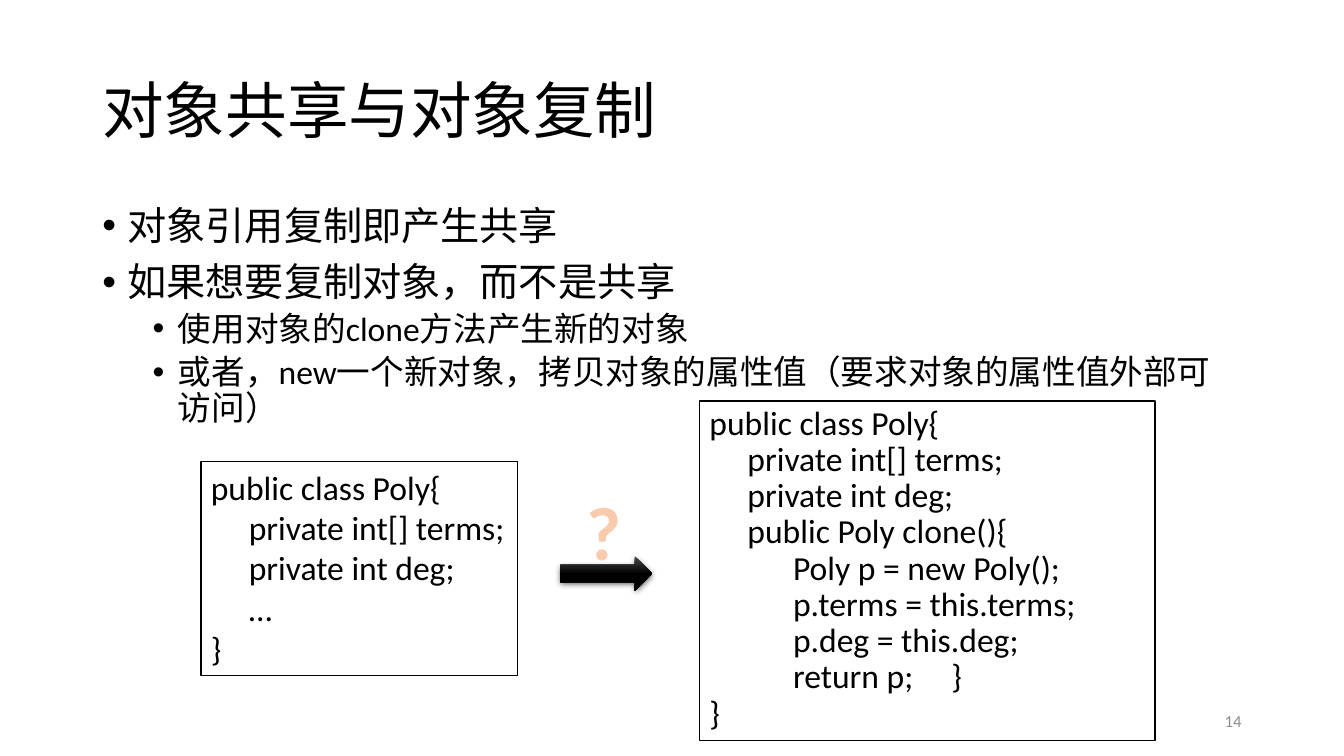
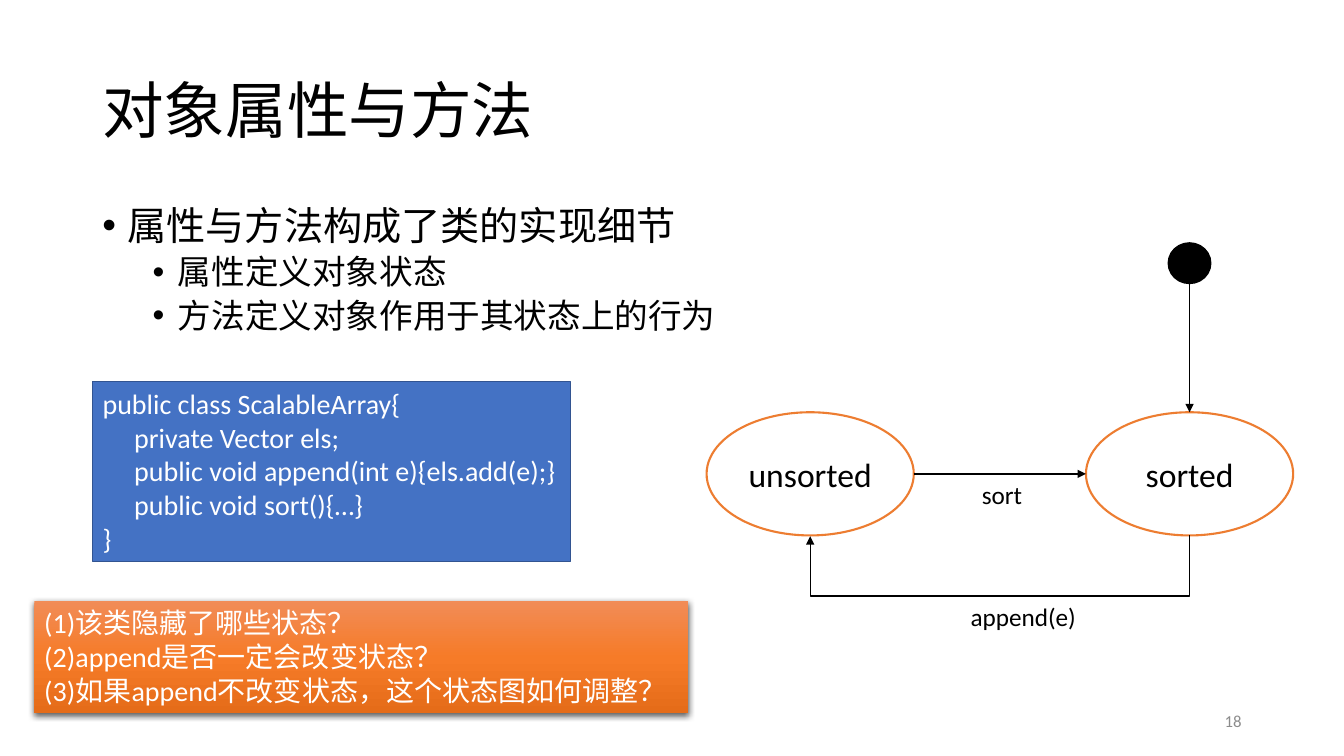
from lxml import etree
from pptx import Presentation
from pptx import util as u
from pptx.dml.color import RGBColor
from pptx.enum import shapes, text
from pptx.oxml.ns import qn

Pt = u.Pt
FONT = "Calibri"
BLACK = RGBColor(0x00, 0x00, 0x00)
WHITE = RGBColor(0xFF, 0xFF, 0xFF)
GREY = RGBColor(0x8C, 0x8C, 0x8C)
BLUE = RGBColor(0x44, 0x72, 0xC4)
DARK_BLUE = RGBColor(0x32, 0x54, 0x91)
ORANGE = RGBColor(0xED, 0x7D, 0x31)
PEACH = RGBColor(0xF8, 0xCB, 0xAD)
BLACK_FADE = (RGBColor(0x4B, 0x4B, 0x4B), BLACK, BLACK)
ORANGE_FADE = (RGBColor(0xF1, 0x8C, 0x57), RGBColor(0xF6, 0x7B, 0x28),
               RGBColor(0xE5, 0x6C, 0x19))

RECT = shapes.MSO_SHAPE.RECTANGLE
OVAL = shapes.MSO_SHAPE.OVAL
STRAIGHT = shapes.MSO_CONNECTOR.STRAIGHT
ELBOW = shapes.MSO_CONNECTOR.ELBOW
LEFT, CENTER, RIGHT = (text.PP_ALIGN.LEFT, text.PP_ALIGN.CENTER,
                       text.PP_ALIGN.RIGHT)
TOP, MIDDLE = text.MSO_ANCHOR.TOP, text.MSO_ANCHOR.MIDDLE

TITLE_BOX = (66, 28.8, 828, 104.4)
BODY_BOX = (66, 144, 828, 199.5)
NUMBER_BOX = (678, 500.5, 216, 28.8)
# Level: (size, left margin, space before)
LEVELS = ((28, 18, 10), (24, 54, 5))

POLY = """public class Poly{
     private int[] terms;
     private int deg;
     …
}"""
POLY_CLONE = """public class Poly{
     private int[] terms;
     private int deg;
     public Poly clone(){
           Poly p = new Poly();
           p.terms = this.terms;
           p.deg = this.deg;
           return p;     }
}"""
SCALABLE_ARRAY = """public class ScalableArray{
     private Vector els;
     public void append(int e){els.add(e);}
     public void sort(){…}
}"""
QUESTIONS = """(1)该类隐藏了哪些状态？
(2)append是否一定会改变状态？
(3)如果append不改变状态，这个状态图如何调整？"""


# Shared helpers
def points(box):
    return [Pt(v) for v in box]


def style_font(font, size, color, bold=None):
    font.name, font.size, font.bold = FONT, Pt(size), bold
    font.color.rgb = color


def write(sp, content, size, color=BLACK, align=LEFT, anchor=TOP,
          wrap=True, spacing=None, bold=None):
    tf = sp.text_frame
    tf.text = content
    tf.word_wrap = wrap
    tf.vertical_anchor = anchor
    for p in tf.paragraphs:
        p.alignment = align
        p.line_spacing = spacing
        for r in p.runs:
            style_font(r.font, size, color, bold)
    return sp


def add_text(s, box, content, size, **options):
    return write(s.shapes.add_textbox(*points(box)), content, size, **options)


def add_shape(s, kind, box, fill=None, line=None, weight=1):
    sp = s.shapes.add_shape(kind, *points(box))
    sp.shadow.inherit = False
    if fill is not None:
        sp.fill.solid()
        sp.fill.fore_color.rgb = fill
    if line is None:
        sp.line.fill.background()
    else:
        sp.line.color.rgb = line
        sp.line.width = Pt(weight)
    return sp


def add_raised_shape(s, kind, box, fade):
    """Shape with a three-stop vertical gradient and a soft shadow."""
    sp = add_shape(s, kind, box)
    sp.fill.gradient()
    sp.fill.gradient_angle = 270
    spPr = sp._element.spPr
    stops = spPr.find(qn("a:gradFill")).find(qn("a:gsLst"))
    stops.clear()
    for i, color in enumerate(fade):
        gs = etree.SubElement(stops, qn("a:gs"), pos=str(i * 50000))
        etree.SubElement(gs, qn("a:srgbClr"), val=str(color))
    shadow = etree.SubElement(
        spPr.find(qn("a:effectLst")), qn("a:outerShdw"),
        blurRad=str(Pt(4.5)), dist=str(Pt(1.5)), dir="5400000",
        rotWithShape="0")
    color = etree.SubElement(shadow, qn("a:srgbClr"), val=str(BLACK))
    etree.SubElement(color, qn("a:alpha"), val="63000")
    return sp


def add_arrow(s, kind, x1, y1, x2, y2):
    c = s.shapes.add_connector(kind, *points((x1, y1, x2, y2)))
    c.line.color.rgb = BLACK
    c.line.width = Pt(1)
    spPr = c._element.spPr
    etree.SubElement(spPr.find(qn("a:ln")), qn("a:tailEnd"), type="triangle")
    etree.SubElement(spPr, qn("a:effectLst"))
    return c


def add_u_arrow(s, x1, x2, y, drop):
    """Elbow arrow from x1 back to x2 that dips below y by drop."""
    mid, half = (x1 + x2) / 2, (x1 - x2) / 2
    # One point thick before its quarter turn, so the bend is a multiple of it
    c = add_arrow(s, ELBOW, mid - 0.5, y - half, mid + 0.5, y + half)
    spPr = c._element.spPr
    spPr.find(qn("a:xfrm")).set("rot", "5400000")
    geom = spPr.find(qn("a:prstGeom"))
    guides = geom.find(qn("a:avLst"))
    if guides is None:
        guides = etree.SubElement(geom, qn("a:avLst"))
    etree.SubElement(guides, qn("a:gd"), name="adj1",
                     fmla=f"val {round(drop * 100000)}")


# Frame common to all slides
def add_body(s, box, items):
    tf = s.shapes.add_textbox(*points(box)).text_frame
    tf.word_wrap = True
    tf.text = "\n".join(content for _, content in items)
    for i, (p, (level, _)) in enumerate(zip(tf.paragraphs, items)):
        size, margin, before = LEVELS[level]
        p.level = level
        p.line_spacing = 0.9
        p.space_before = Pt(before if i else 0)
        pPr = p._p.get_or_add_pPr()
        pPr.set("marL", str(Pt(margin)))
        pPr.set("indent", str(Pt(-18)))
        etree.SubElement(pPr, qn("a:buFont"), typeface="Arial")
        etree.SubElement(pPr, qn("a:buChar"), char="•")
        for r in p.runs:
            style_font(r.font, size, BLACK)


def add_slide(prs, title, number, items):
    s = prs.slides.add_slide(prs.slide_layouts[6])
    add_text(s, TITLE_BOX, title, 44, anchor=MIDDLE, spacing=0.9)
    add_body(s, BODY_BOX, items)
    add_text(s, NUMBER_BOX, str(number), 12, color=GREY, align=RIGHT,
             anchor=MIDDLE)
    return s


# Regions
def add_code(s, box, code, size, fill=WHITE, line=BLACK, color=BLACK,
             wrap=False, spacing=None):
    sp = add_shape(s, RECT, box, fill, line)
    write(sp, code, size, color=color, wrap=wrap, spacing=spacing)


def add_question_arrow(s, box):
    x, y, w, h = box
    add_raised_shape(s, shapes.MSO_SHAPE.RIGHT_ARROW,
                     (x, y + h - 24.5, w, 24.5), BLACK_FADE)
    mark = add_text(s, (x + 11.5, y, 39.6, 72.7), "?", 54, color=PEACH,
                    align=CENTER, wrap=False, bold=True)
    rPr = mark.text_frame.paragraphs[0].runs[0]._r.get_or_add_rPr()
    ln = etree.Element(qn("a:ln"), w=str(Pt(1.75)))
    fill = etree.SubElement(ln, qn("a:solidFill"))
    etree.SubElement(fill, qn("a:srgbClr"), val=str(ORANGE))
    rPr.insert(0, ln)


def add_state_diagram(s, box):
    x, y, w, h = box
    state_w, state_h, dot_w, dot_h = 148, 88, 30.4, 29
    state_y = y + 121
    bottom, middle = state_y + state_h, state_y + state_h / 2
    right_x = x + w - state_w
    left_mid, right_mid = x + state_w / 2, right_x + state_w / 2

    # States and starting point
    for state_x, name in ((x, "unsorted"), (right_x, "sorted")):
        sp = add_shape(s, OVAL, (state_x, state_y, state_w, state_h),
                       WHITE, ORANGE, 1.5)
        write(sp, name, 24, align=CENTER, anchor=MIDDLE)
    add_shape(s, OVAL, (right_mid - dot_w / 2, y, dot_w, dot_h), BLACK, BLACK)

    # Transitions
    add_arrow(s, STRAIGHT, right_mid, y + dot_h, right_mid, state_y)
    add_arrow(s, STRAIGHT, x + state_w, middle, right_x, middle)
    add_u_arrow(s, right_mid, left_mid, bottom, 44)
    add_text(s, (x + 189.5, middle, 44, 29), "sort", 18, wrap=False)
    add_text(s, (x + 181.5, y + h - 29, 90.5, 29), "append(e)", 18, wrap=False)


# Slides
def add_copy_slide(prs):
    s = add_slide(prs, "对象共享与对象复制", 14, (
        (0, "对象引用复制即产生共享"),
        (0, "如果想要复制对象，而不是共享"),
        (1, "使用对象的clone方法产生新的对象"),
        (1, "或者，new一个新对象，拷贝对象的属性值（要求对象的属性值外部可访问）")))
    add_code(s, (143.5, 329.8, 226, 152.7), POLY, 24)
    add_code(s, (499.7, 286.5, 325.4, 242.6), POLY_CLONE, 24, wrap=True,
             spacing=0.9)
    add_question_arrow(s, (400.3, 342.7, 65.5, 79.2))


def add_state_slide(prs):
    s = add_slide(prs, "对象属性与方法", 18, (
        (0, "属性与方法构成了类的实现细节"),
        (1, "属性定义对象状态"),
        (1, "方法定义对象作用于其状态上的行为")))
    add_code(s, (66.2, 272.7, 341.3, 128.2), SCALABLE_ARRAY, 20,
             fill=BLUE, line=DARK_BLUE, color=WHITE)
    add_state_diagram(s, (504.7, 173.5, 419, 281.5))
    panel = add_raised_shape(s, RECT, (24.5, 429.3, 467.3, 80), ORANGE_FADE)
    write(panel, QUESTIONS, 20, color=WHITE)


def main():
    prs = Presentation()
    prs.slide_width, prs.slide_height = Pt(960), Pt(540)
    add_copy_slide(prs)
    add_state_slide(prs)
    prs.save("out.pptx")


if __name__ == "__main__":
    main()
